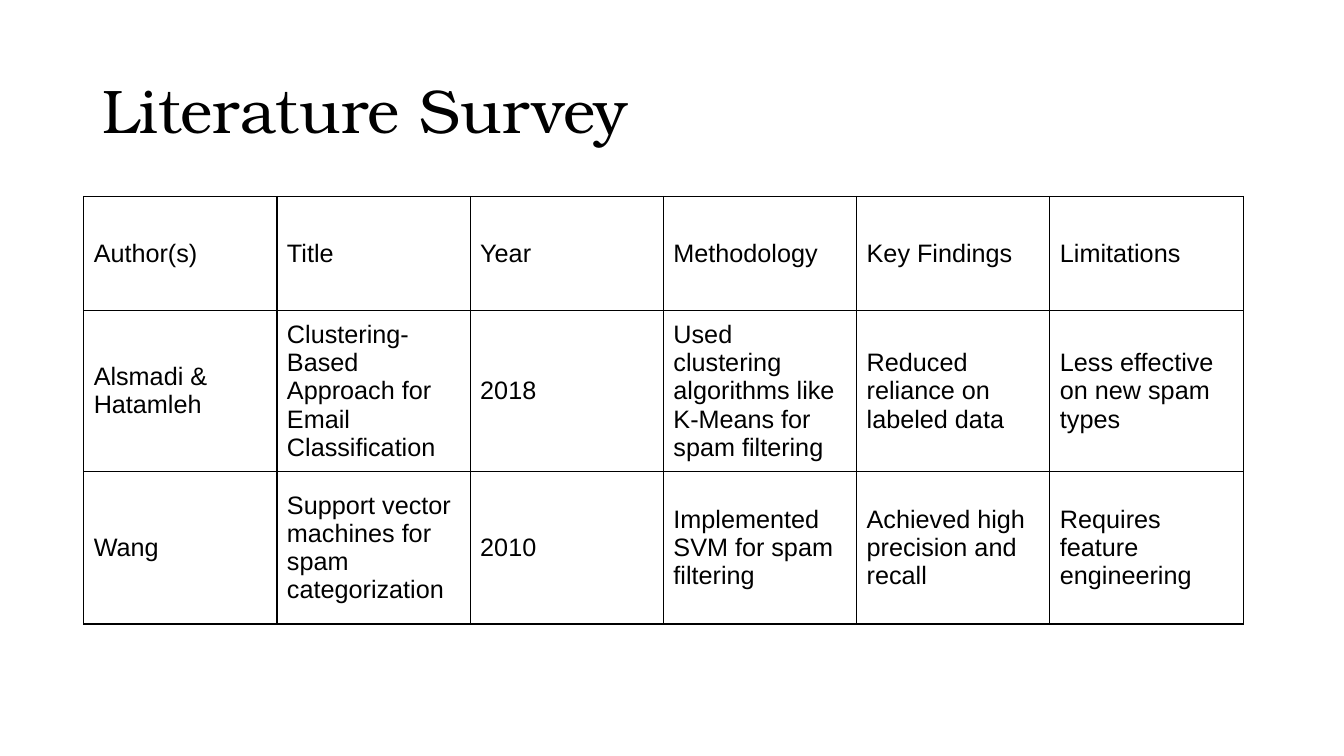
from lxml.etree import SubElement
from pptx import Presentation
from pptx.dml.color import RGBColor
from pptx.enum.text import MSO_ANCHOR
from pptx.oxml.ns import qn
from pptx.util import Inches, Pt

BLACK = RGBColor(0x00, 0x00, 0x00)
TITLE_FONT = "TeX Gyre Bonum"
BODY_FONT = "Arial"

COLUMN_WIDTH = 11.5 / 6
ROW_HEIGHTS = [1.13, 1.51, 1.51]
SURVEY_ROWS = [
    ["Author(s)", "Title", "Year", "Methodology", "Key Findings", "Limitations"],
    ["Alsmadi & Hatamleh", "Clustering-Based Approach for Email Classification", "2018",
     "Used clustering algorithms like K-Means for spam filtering",
     "Reduced reliance on labeled data", "Less effective on new spam types"],
    ["Wang", "Support vector machines for spam categorization", "2010",
     "Implemented SVM for spam filtering",
     "Achieved high precision and recall", "Requires feature engineering"],
]


def format_runs(paragraph, font_name, size):
    for run in paragraph.runs:
        run.font.name = font_name
        run.font.size = Pt(size)
        run.font.bold = False
        run.font.color.rgb = BLACK


def add_title(slide, text):
    shape = slide.shapes.add_textbox(Inches(0.92), Inches(0.4), Inches(11.5), Inches(1.45))
    text_frame = shape.text_frame
    text_frame.word_wrap = True
    text_frame.vertical_anchor = MSO_ANCHOR.MIDDLE
    text_frame.text = text
    paragraph = text_frame.paragraphs[0]
    paragraph.line_spacing = 0.9
    format_runs(paragraph, TITLE_FONT, 44)


def set_cell_borders(cell):
    properties = cell._tc.get_or_add_tcPr()
    # Border lines must come before the fill in the cell properties
    for position, side in enumerate(["a:lnL", "a:lnR", "a:lnT", "a:lnB"]):
        line = SubElement(properties, qn(side), w=str(Pt(1)))
        fill = SubElement(line, qn("a:solidFill"))
        SubElement(fill, qn("a:srgbClr"), val=str(BLACK))
        properties.insert(position, line)


def fill_cell(cell, text):
    cell.fill.background()
    cell.vertical_anchor = MSO_ANCHOR.MIDDLE
    cell.text_frame.text = text
    format_runs(cell.text_frame.paragraphs[0], BODY_FONT, 18)
    set_cell_borders(cell)


def add_survey_table(slide):
    column_count = len(SURVEY_ROWS[0])
    frame = slide.shapes.add_table(
        len(SURVEY_ROWS), column_count, Inches(0.83), Inches(1.95),
        Inches(COLUMN_WIDTH * column_count), Inches(sum(ROW_HEIGHTS)))
    table = frame.table
    table.first_row = False
    table.horz_banding = False
    for column in table.columns:
        column.width = Inches(COLUMN_WIDTH)
    for row, height, texts in zip(table.rows, ROW_HEIGHTS, SURVEY_ROWS):
        row.height = Inches(height)
        for cell, text in zip(row.cells, texts):
            fill_cell(cell, text)


def main():
    presentation = Presentation()
    presentation.slide_width = Inches(13.33)
    presentation.slide_height = Inches(7.5)
    slide = presentation.slides.add_slide(presentation.slide_layouts[6])

    # Heading
    add_title(slide, "Literature Survey")
    # Table of earlier work
    add_survey_table(slide)

    presentation.save("out.pptx")


if __name__ == "__main__":
    main()
